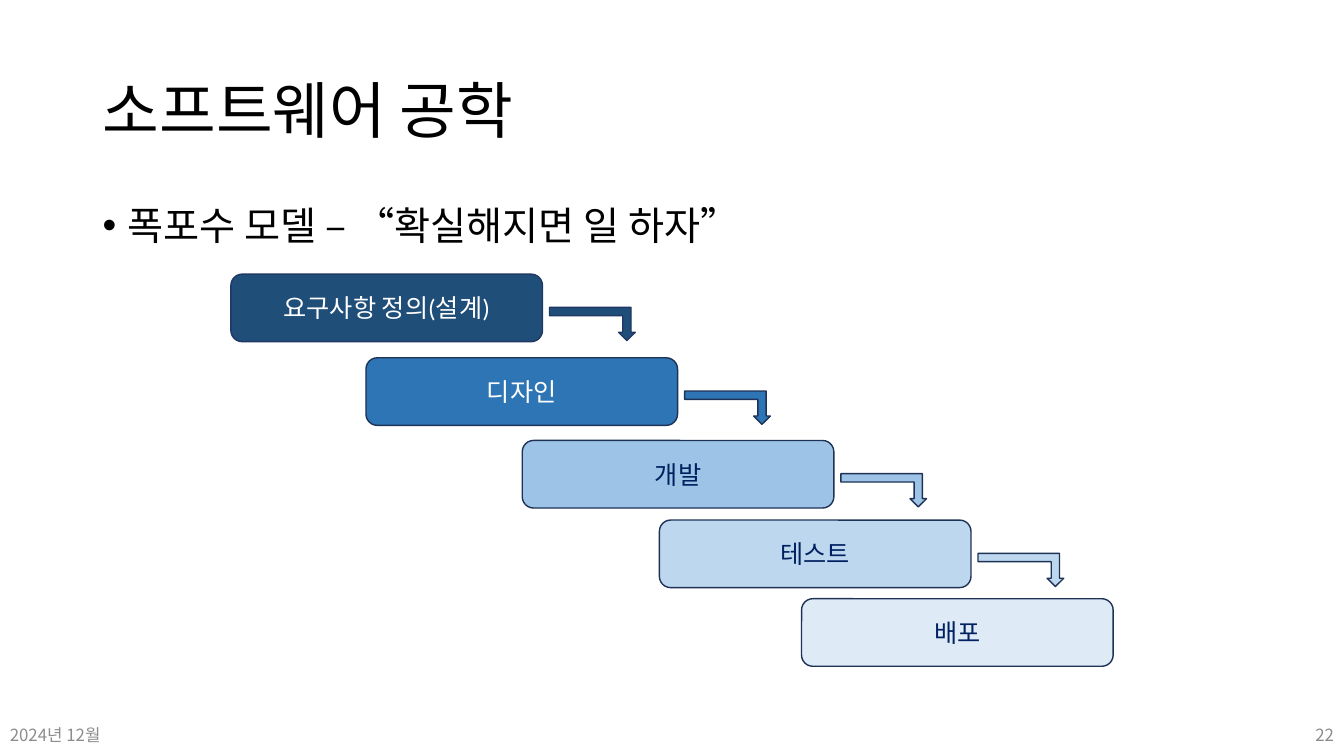
from pptx import Presentation
from pptx.dml.color import RGBColor
from pptx.enum.shapes import MSO_SHAPE as Shape
from pptx.enum.text import MSO_ANCHOR as Anchor, PP_ALIGN as Align
from pptx.oxml.ns import qn
from pptx.util import Inches, Pt
from lxml.etree import SubElement

BLACK = RGBColor(0x00, 0x00, 0x00)
WHITE = RGBColor(0xFF, 0xFF, 0xFF)
GRAY = RGBColor(0x8C, 0x8C, 0x8C)
NAVY = RGBColor(0x00, 0x20, 0x60)
FIRST_OUTLINE = RGBColor(0x20, 0x38, 0x64)
OUTLINE = RGBColor(0x1E, 0x32, 0x56)
DARK_BLUE = RGBColor(0x1F, 0x4E, 0x79)
BLUE = RGBColor(0x2E, 0x75, 0xB6)
LIGHT_BLUE = RGBColor(0x9D, 0xC3, 0xE6)
PALE_BLUE = RGBColor(0xBD, 0xD7, 0xEE)
FAINT_BLUE = RGBColor(0xDE, 0xEB, 0xF7)

STAGE_WIDTH, STAGE_HEIGHT = 3.09, 0.67
ARROW_WIDTH, ARROW_HEIGHT = 0.85, 0.33
ARROW_OFFSET_X, ARROW_OFFSET_Y = 3.16, 0.33
STAGES = [
    ("요구사항 정의(설계)", 2.29, 2.72, DARK_BLUE, WHITE, FIRST_OUTLINE),
    ("디자인", 3.63, 3.55, BLUE, WHITE, OUTLINE),
    ("개발", 5.18, 4.37, LIGHT_BLUE, NAVY, OUTLINE),
    ("테스트", 6.54, 5.16, PALE_BLUE, NAVY, OUTLINE),
    ("배포", 7.95, 5.94, FAINT_BLUE, NAVY, OUTLINE),
]


def write_text(shape, text, *, size, color, font="Calibri", align=Align.LEFT,
               anchor=Anchor.MIDDLE, line_spacing=None, bullet=False):
    frame = shape.text_frame
    frame.word_wrap = True
    frame.vertical_anchor = anchor
    paragraph = frame.paragraphs[0]
    paragraph.alignment = align
    paragraph.line_spacing = line_spacing
    if bullet:
        properties = paragraph._p.get_or_add_pPr()
        properties.set("marL", str(Inches(0.25)))
        properties.set("indent", str(Inches(-0.25)))
        SubElement(properties, qn("a:buFont"), typeface="Arial")
        SubElement(properties, qn("a:buChar"), char="•")
    run = paragraph.add_run()
    run.text = text
    run.font.name = font
    run.font.size = Pt(size)
    run.font.color.rgb = color


def add_text(slide, text, left, top, width, height, **text_format):
    box = slide.shapes.add_textbox(
        Inches(left), Inches(top), Inches(width), Inches(height))
    write_text(box, text, **text_format)


def add_block(slide, kind, left, top, width, height, fill, outline):
    shape = slide.shapes.add_shape(
        kind, Inches(left), Inches(top), Inches(width), Inches(height))
    shape.shadow.inherit = False
    shape.fill.solid()
    shape.fill.fore_color.rgb = fill
    shape.line.color.rgb = outline
    shape.line.width = Pt(1)
    return shape


def add_stage(slide, name, left, top, fill, text_color, outline):
    stage = add_block(slide, Shape.ROUNDED_RECTANGLE, left, top,
                      STAGE_WIDTH, STAGE_HEIGHT, fill, outline)
    write_text(stage, name, size=18, color=text_color, align=Align.CENTER)


def add_step_arrow(slide, left, top, fill, outline):
    arrow = add_block(slide, Shape.BENT_UP_ARROW,
                      left + ARROW_OFFSET_X, top + ARROW_OFFSET_Y,
                      ARROW_WIDTH, ARROW_HEIGHT, fill, outline)
    arrow._element.spPr.find(qn("a:xfrm")).set("flipV", "1")


def main():
    presentation = Presentation()
    presentation.slide_width = Inches(13.33)
    presentation.slide_height = Inches(7.5)
    slide = presentation.slides.add_slide(presentation.slide_layouts[6])

    add_text(slide, "소프트웨어 공학", 0.92, 0.4, 11.5, 1.45,
             size=44, color=BLACK, font="Lato", line_spacing=0.9)
    add_text(slide, "폭포수 모델 – “확실해지면 일 하자”", 0.92, 2, 11.5, 4.76,
             size=28, color=BLACK, anchor=Anchor.TOP, line_spacing=0.9, bullet=True)
    footer = {"size": 12, "color": GRAY, "font": "Noto Sans CJK KR"}
    add_text(slide, "2024년 12월", 0, 7.09, 3, 0.4, **footer)
    add_text(slide, "22", 10.33, 7.09, 3, 0.4, align=Align.RIGHT, **footer)

    for name, left, top, fill, text_color, outline in STAGES:
        add_stage(slide, name, left, top, fill, text_color, outline)
    for name, left, top, fill, text_color, outline in STAGES[:-1]:
        add_step_arrow(slide, left, top, fill, OUTLINE if fill != DARK_BLUE else outline)

    presentation.save("out.pptx")


if __name__ == "__main__":
    main()
